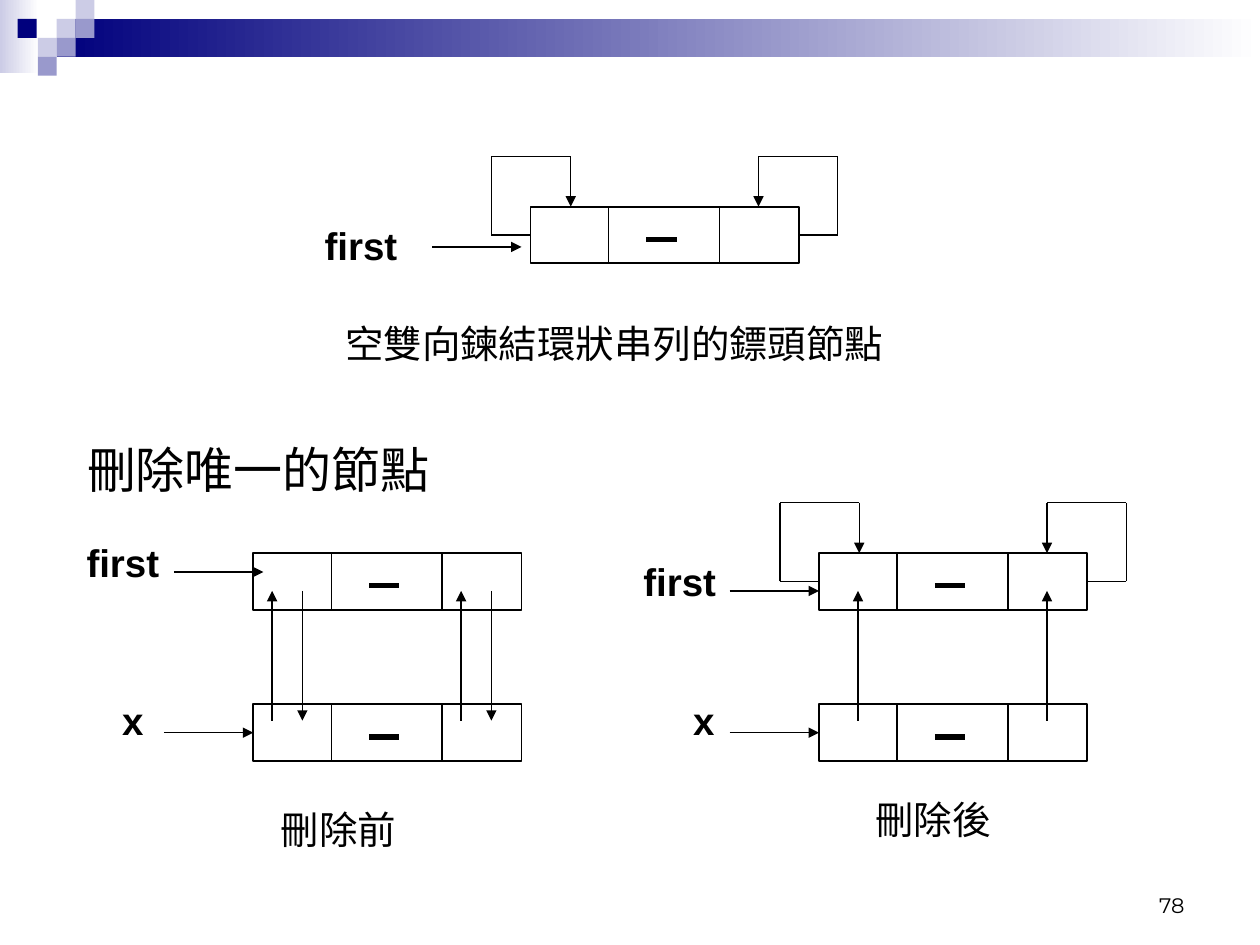
from pptx import Presentation
from pptx.dml.color import RGBColor
from pptx.enum.shapes import MSO_CONNECTOR, MSO_SHAPE
from pptx.enum.text import MSO_ANCHOR, MSO_AUTO_SIZE, PP_ALIGN
from pptx.oxml.ns import qn
from pptx.util import Inches, Pt
from lxml import etree

RECT = MSO_SHAPE.RECTANGLE
STRAIGHT = MSO_CONNECTOR.STRAIGHT
CENTER, RIGHT = PP_ALIGN.CENTER, PP_ALIGN.RIGHT
BLACK = RGBColor(0x00, 0x00, 0x00)
WHITE = RGBColor(0xFF, 0xFF, 0xFF)
NAVY = RGBColor(0x00, 0x00, 0x7D)
LAVENDER = RGBColor(0xCC, 0xCC, 0xE6)
PERIWINKLE = RGBColor(0x99, 0x99, 0xCC)

NODE_W, NODE_H = 2.13, 0.45
DIVIDERS = (0.62, 1.5)
DASH = (0.92, 1.16, 0.26)
LOOP_OUT, LOOP_IN, LOOP_UP = 0.31, 0.32, 0.4
ARROW_LEN = 0.71
TILE = 0.15
LEFT_SIDE, RIGHT_SIDE = 1, 3

BANDS = [
    (0, 0, 0.31, 0.58, LAVENDER),
    (0.45, 0.15, 9.55, 0.3, NAVY),
]
TILES = [
    (0.45, 0.15, LAVENDER),
    (0.6, 0, LAVENDER),
    (0.6, 0.15, PERIWINKLE),
    (0.3, 0.3, LAVENDER),
    (0.14, 0.15, NAVY),
    (0.45, 0.3, PERIWINKLE),
    (0.3, 0.45, PERIWINKLE),
]
NODES = {
    "empty head": (4.21, 1.64, True),
    "head before": (2.01, 4.39, False),
    "x before": (2.01, 5.59, False),
    "head after": (6.5, 4.39, True),
    "x after": (6.5, 5.59, False),
}
FIRST_ARROWS = [(3.43, 1.96), (1.38, 4.54), (5.79, 4.69)]
X_NODES = ["x before", "x after"]
LINK_TOP, LINK_BOTTOM = 4.69, 5.72
UP_LINKS = [2.16, 3.66, 6.81, 8.31]
DOWN_LINKS = [2.4, 3.9]
LABELS = [
    ("first", 2.46, 1.71, 0.81, 0.47, 22, True),
    ("空雙向鍊結環狀串列的鏢頭節點", 2.62, 2.49, 4.51, 0.47, 22, False),
    ("刪除唯一的節點", 0.57, 3.44, 2.96, 0.57, 28, False),
    ("first", 0.57, 4.23, 0.81, 0.47, 22, True),
    ("first", 4.99, 4.38, 0.81, 0.47, 22, True),
    ("x", 0.85, 5.48, 0.41, 0.47, 22, True),
    ("x", 5.38, 5.48, 0.41, 0.47, 22, True),
    ("刪除前", 2.11, 6.35, 1.15, 0.47, 22, False),
    ("刪除後", 6.83, 6.27, 1.15, 0.47, 22, False),
]

prs = Presentation()
prs.slide_width, prs.slide_height = Inches(10), Inches(7.5)
s = prs.slides.add_slide(prs.slide_layouts[6])


def add_rect(x, y, w, h):
    sp = s.shapes.add_shape(RECT, Inches(x), Inches(y), Inches(w), Inches(h))
    sp.shadow.inherit = False
    return sp


def add_line(x1, y1, x2, y2, width=0.75, arrow=False):
    line = s.shapes.add_connector(STRAIGHT, Inches(x1), Inches(y1), Inches(x2), Inches(y2))
    line.line.color.rgb = BLACK
    line.line.width = Pt(width)
    if arrow:
        etree.SubElement(line.line._get_or_add_ln(), qn("a:tailEnd"), type="triangle")
    etree.SubElement(line._element.spPr, qn("a:effectLst"))
    return line


def add_text(text, x, y, w, h, size, font="Arial", bold=False, align=CENTER):
    tb = s.shapes.add_textbox(Inches(x), Inches(y), Inches(w), Inches(h))
    tf = tb.text_frame
    tf.text = text
    p = tf.paragraphs[0]
    p.alignment = align
    r = p.runs[0]
    r.font.name, r.font.size, r.font.bold = font, Pt(size), bold
    r.font.color.rgb = BLACK
    return tf


def add_loop(node, x, y, side):
    right = side == RIGHT_SIDE
    edge, out = (x + NODE_W, 1) if right else (x, -1)
    outer, inner = edge + out * LOOP_OUT, edge - out * LOOP_IN
    mid, top = y + NODE_H / 2, y - LOOP_UP
    add_line(edge, mid, outer, mid).begin_connect(node, side)
    add_line(outer, mid, outer, top)
    add_line(outer, top, inner, top)
    add_line(inner, top, inner, y, arrow=True)


def add_node(x, y, looped):
    node = add_rect(x, y, NODE_W, NODE_H)
    node.fill.background()
    node.line.color.rgb = BLACK
    node.line.width = Pt(1)
    for dx in DIVIDERS:
        add_line(x + dx, y, x + dx, y + NODE_H, width=1)
    start, end, dy = DASH
    add_line(x + start, y + dy, x + end, y + dy, width=3)
    if looped:
        for side in (LEFT_SIDE, RIGHT_SIDE):
            add_loop(node, x, y, side)
    return node


for x, y, w, h, color in BANDS:
    sp = add_rect(x, y, w, h)
    sp.line.fill.background()
    sp.fill.gradient()
    sp.fill.gradient_angle = 0
    for stop, stop_color in zip(sp.fill.gradient_stops, (color, WHITE)):
        stop.color.rgb = stop_color

for x, y, color in TILES:
    sp = add_rect(x, y, TILE, TILE)
    sp.line.fill.background()
    sp.fill.solid()
    sp.fill.fore_color.rgb = color

nodes = {name: add_node(*place) for name, place in NODES.items()}

for x, y in FIRST_ARROWS:
    add_line(x, y, x + ARROW_LEN, y, arrow=True)
for name in X_NODES:
    x, y, _ = NODES[name]
    mid = y + NODE_H / 2
    add_line(x - ARROW_LEN, mid, x, mid, arrow=True).end_connect(nodes[name], LEFT_SIDE)
for x in UP_LINKS:
    add_line(x, LINK_BOTTOM, x, LINK_TOP, arrow=True)
for x in DOWN_LINKS:
    add_line(x, LINK_TOP, x, LINK_BOTTOM, arrow=True)

for text, x, y, w, h, size, bold in LABELS:
    tf = add_text(text, x, y, w, h, size, bold=bold)
    tf.word_wrap = False
    tf.auto_size = MSO_AUTO_SIZE.SHAPE_TO_FIT_TEXT

tf = add_text("78", 7.17, 6.83, 2.33, 0.5, 12, font="Montserrat", align=RIGHT)
tf.word_wrap = True
tf.vertical_anchor = MSO_ANCHOR.BOTTOM

prs.save("out.pptx")
